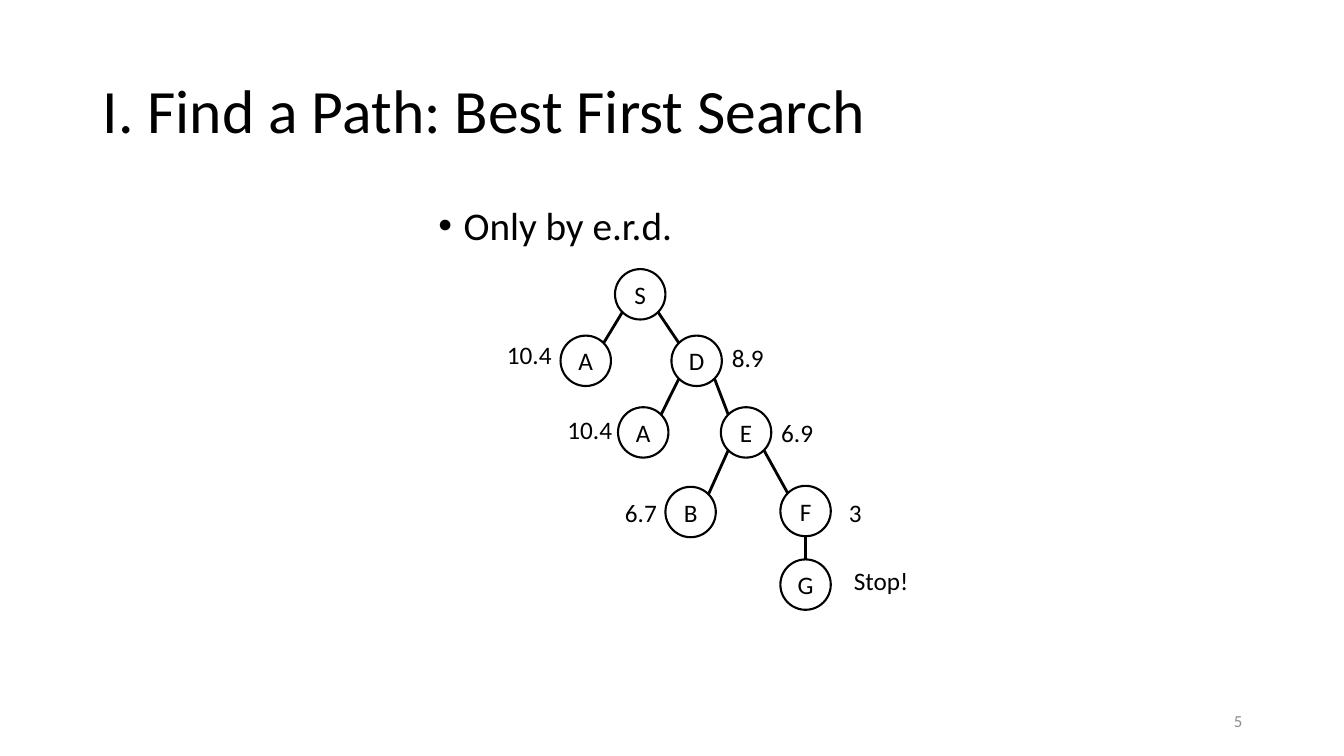
from lxml import etree
from pptx import Presentation
from pptx.dml.color import RGBColor
from pptx.enum.shapes import MSO_CONNECTOR, MSO_SHAPE
from pptx.enum.text import MSO_ANCHOR, PP_ALIGN
from pptx.oxml.ns import qn
from pptx.util import Inches, Pt

STRAIGHT = MSO_CONNECTOR.STRAIGHT
CIRCLE = MSO_SHAPE.FLOWCHART_CONNECTOR
TOP, MIDDLE = MSO_ANCHOR.TOP, MSO_ANCHOR.MIDDLE
LEFT, CENTER, RIGHT = PP_ALIGN.LEFT, PP_ALIGN.CENTER, PP_ALIGN.RIGHT
BLACK = RGBColor(0, 0, 0)
GRAY = RGBColor(0x8C, 0x8C, 0x8C)
FONT = "Calibri"

TITLE = "I. Find a Path: Best First Search"
BULLET = "Only by e.r.d."
PAGE_NUMBER = "5"
NODES = {
    "root": ("S", 6.1, 2.67),
    "left A": ("A", 5.56, 3.33),
    "D": ("D", 6.66, 3.33),
    "right A": ("A", 6.13, 4.04),
    "E": ("E", 7.15, 4.04),
    "B": ("B", 6.6, 4.83),
    "F": ("F", 7.74, 4.82),
    "goal": ("G", 7.74, 5.55),
}
EDGES = [
    ("root", "left A"), ("root", "D"), ("D", "right A"), ("D", "E"),
    ("E", "B"), ("E", "F"), ("F", "goal"),
]
DISTANCES = [
    ("10.4", 4.93, 3.32, 0.65),
    ("8.9", 7.16, 3.35, 0.52),
    ("10.4", 5.53, 4.06, 0.65),
    ("6.9", 7.65, 4.09, 0.52),
    ("6.7", 6.1, 4.88, 0.52),
    ("3", 8.32, 4.88, 0.33),
    ("Stop!", 8.37, 5.56, 0.75),
]
DIAMETER = 0.5
RADIUS = DIAMETER / 2
DIAGONAL = RADIUS * 0.5 ** 0.5

presentation = Presentation()
presentation.slide_width = Inches(13.33)
presentation.slide_height = Inches(7.5)
slide = presentation.slides.add_slide(presentation.slide_layouts[6])


def write(shape, text, size, color=BLACK, align=LEFT, anchor=TOP, wrap=True):
    text_frame = shape.text_frame
    text_frame.text = text
    text_frame.word_wrap = wrap
    text_frame.vertical_anchor = anchor
    paragraph = text_frame.paragraphs[0]
    paragraph.alignment = align
    font = paragraph.runs[0].font
    font.name, font.size, font.color.rgb = FONT, Pt(size), color
    return paragraph


def add_text(text, left, top, width, height, size, **style):
    box = slide.shapes.add_textbox(*map(Inches, (left, top, width, height)))
    return write(box, text, size, **style)


def add_node(letter, left, top):
    node = slide.shapes.add_shape(
        CIRCLE, *map(Inches, (left, top, DIAMETER, DIAMETER)))
    node.shadow.inherit = False
    node.fill.background()
    node.line.color.rgb = BLACK
    node.line.width = Pt(1.5)
    write(node, letter, 18, align=CENTER, anchor=MIDDLE, wrap=False)


def add_edge(parent, child):
    x1, y1 = (value + RADIUS for value in NODES[parent][1:])
    x2, y2 = (value + RADIUS for value in NODES[child][1:])
    side = (x2 > x1) - (x2 < x1)
    dx, dy = side * DIAGONAL, DIAGONAL if side else RADIUS
    edge = slide.shapes.add_connector(
        STRAIGHT, *map(Inches, (x1 + dx, y1 + dy, x2 - dx, y2 - dy)))
    edge.line.color.rgb = BLACK
    edge.line.width = Pt(2)
    etree.SubElement(edge.element.spPr, qn("a:effectLst"))


title = add_text(TITLE, 0.92, 0.4, 11.5, 1.45, 44, anchor=MIDDLE)
title.line_spacing = 0.9

bullet = add_text(BULLET, 4.25, 2, 4.37, 4.76, 28)
bullet.line_spacing = 0.9
bullet.space_before = Pt(10)
properties = bullet._p.get_or_add_pPr()
properties.set("marL", str(Inches(0.25)))
properties.set("indent", str(-Inches(0.25)))
etree.SubElement(properties, qn("a:buFont")).set("typeface", "Arial")
etree.SubElement(properties, qn("a:buChar")).set("char", "•")

for node in NODES.values():
    add_node(*node)
for parent, child in EDGES:
    add_edge(parent, child)
for text, left, top, width in DISTANCES:
    add_text(text, left, top, width, 0.4, 18, wrap=False)

add_text(PAGE_NUMBER, 9.42, 6.95, 3, 0.4, 12,
         color=GRAY, align=RIGHT, anchor=MIDDLE)

presentation.save("out.pptx")
